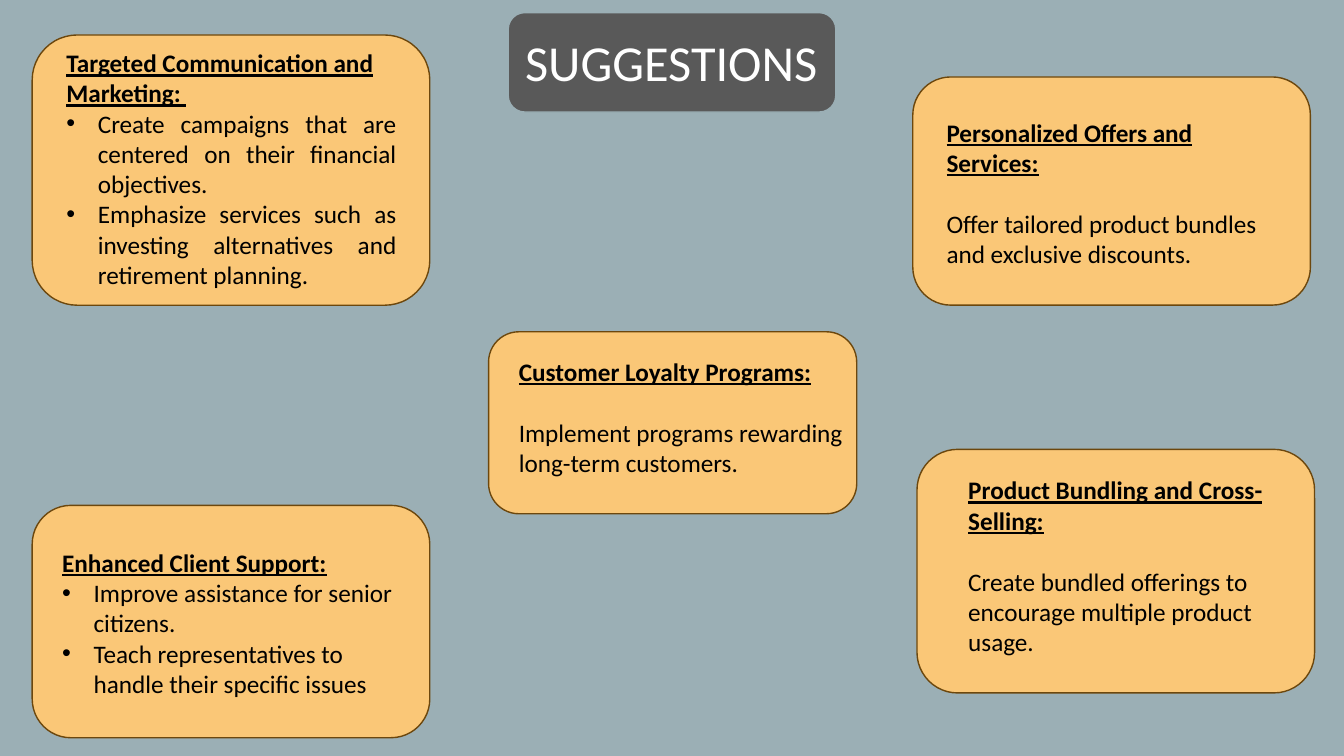
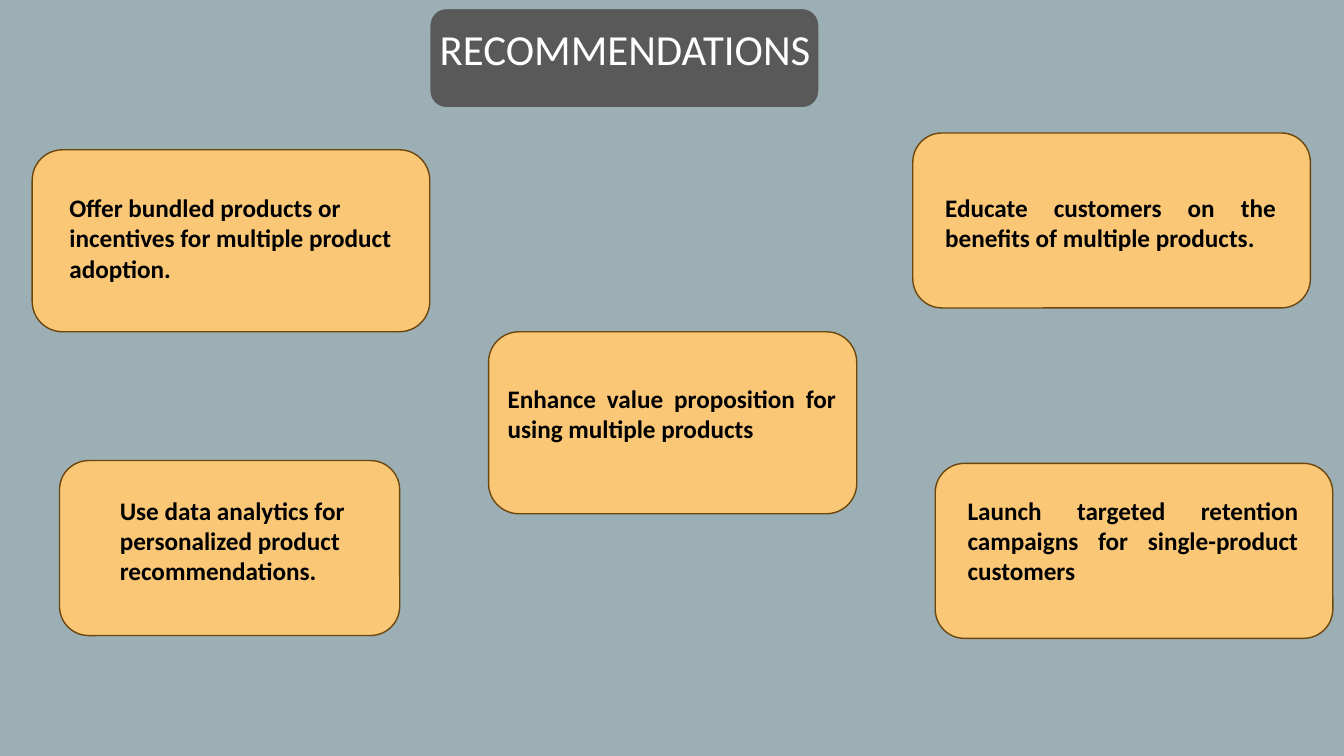
from dataclasses import dataclass

from lxml.etree import SubElement
from pptx import Presentation
from pptx.dml.color import RGBColor
from pptx.enum.shapes import MSO_SHAPE
from pptx.enum.text import PP_ALIGN
from pptx.oxml.ns import qn
from pptx.slide import Slide
from pptx.text.text import TextFrame
from pptx.util import Pt

HUES = {
    "back": "9BAFB5",
    "panel": "595959",
    "card": "FAC777",
    "edge": "6C470D",
    "ink": "000000",
    "light": "FFFFFF",
}
FONT = "Calibri"
SIZE = 18
BLANK = 6
DENT = 22.5
GAP = 22

Box = tuple[float, float, float, float]


@dataclass(frozen=True)
class Line:
    text: str
    bold: bool = False
    under: bool = False
    bullet: bool = False
    even: bool = False
    after: float = 0


@dataclass(frozen=True)
class Card:
    box: Box
    area: Box
    lines: tuple[Line, ...]


@dataclass(frozen=True)
class Title:
    text: str
    box: Box
    area: Box
    size: float
    lead: float = 1.0


@dataclass(frozen=True)
class Page:
    title: Title
    cards: tuple[Card, ...]


def head(text: str, after: float = 0) -> Line:
    return Line(text, bold=True, under=True, after=after)


def topic(text: str, body: str) -> tuple[Line, ...]:
    return head(text, GAP), Line(body)


def points(text: str, *items: str, even: bool = False) -> tuple[Line, ...]:
    return head(text), *(Line(item, bullet=True, even=even) for item in items)


def claim(text: str, even: bool = False) -> tuple[Line, ...]:
    return (Line(text, bold=True, even=even),)


PAGES = (
    Page(
        Title("SUGGESTIONS", (363, 9, 234, 71), (368, 19, 226, 55), 36),
        (
            Card((23, 25, 284, 193), (40.3, 30.3, 250, 181), points(
                "Targeted Communication and Marketing: ",
                "Create campaigns that are centered on their financial objectives.",
                "Emphasize services such as investing alternatives and retirement planning.",
                even=True)),
            Card((23, 361, 284, 166), (37.3, 387.4, 255, 117), points(
                "Enhanced Client Support:",
                "Improve assistance for senior citizens.",
                "Teach representatives to handle their specific issues")),
            Card((652, 55, 284, 163), (669, 80, 250.5, 138), topic(
                "Personalized Offers and Services:",
                "Offer tailored product bundles and exclusive discounts.")),
            Card((655, 321, 284, 174), (684.5, 335.6, 250.5, 160), topic(
                "Product Bundling and Cross-Selling:",
                "Create bundled offerings to encourage multiple product usage.")),
            Card((349, 237, 263, 130), (363.5, 251, 249, 117), topic(
                "Customer Loyalty Programs:",
                "Implement programs rewarding long-term customers.")),
        ),
    ),
    Page(
        Title("RECOMMENDATIONS", (307, 6, 278, 71), (307, 17, 292, 71), 30.6, 0.9),
        (
            Card((23, 107, 284, 130), (42.5, 134, 250, 73), claim(
                "Offer bundled products or incentives for multiple product adoption.")),
            Card((42.5, 329, 243, 125), (78.5, 350, 204.5, 73), claim(
                "Use data analytics for personalized product recommendations.")),
            Card((652, 95, 284, 125), (668, 134, 250.5, 73), claim(
                "Educate customers on the benefits of multiple products.", even=True)),
            Card((668, 331, 284, 125), (684, 350, 250.5, 73), claim(
                "Launch targeted retention campaigns for single-product customers",
                even=True)),
            Card((349, 237, 263, 130), (355.5, 270, 249, 51), claim(
                "Enhance value proposition for using multiple products", even=True)),
        ),
    ),
)


def tint(name: str) -> RGBColor:
    return RGBColor.from_string(HUES[name])


def panel(slide: Slide, box: Box, fill: str, edge: str) -> None:
    shape = slide.shapes.add_shape(MSO_SHAPE.ROUNDED_RECTANGLE, *map(Pt, box))
    shape.shadow.inherit = False
    shape.fill.solid()
    shape.fill.fore_color.rgb = tint(fill)
    shape.line.color.rgb = tint(edge)
    shape.line.width = Pt(1)


def frame(slide: Slide, area: Box) -> TextFrame:
    text = slide.shapes.add_textbox(*map(Pt, area)).text_frame
    text.word_wrap = True
    return text


def write(
    text: TextFrame,
    words: str,
    *,
    size: float = SIZE,
    hue: str = "ink",
    bold: bool = False,
    under: bool = False,
    bullet: bool = False,
    even: bool = False,
    after: float = 0,
    lead: float = 1.0,
) -> None:
    para = text.paragraphs[0]
    if para.runs:
        para = text.add_paragraph()
    para.alignment = PP_ALIGN.JUSTIFY if even else PP_ALIGN.LEFT
    para.line_spacing = lead
    para.space_after = Pt(after)
    run = para.add_run()
    run.text = words
    font = run.font
    font.name = FONT
    font.size = Pt(size)
    font.bold = bold
    font.underline = under
    font.color.rgb = tint(hue)
    if bullet:
        props = para._p.get_or_add_pPr()
        props.set("marL", str(Pt(DENT)))
        props.set("indent", str(-Pt(DENT)))
        SubElement(props, qn("a:buFont")).set("typeface", "Arial")
        SubElement(props, qn("a:buChar")).set("char", "•")


def draw(slide: Slide, page: Page) -> None:
    title = page.title
    panel(slide, title.box, "panel", "back")
    write(frame(slide, title.area), title.text,
          size=title.size, hue="light", lead=title.lead)
    for card in page.cards:
        panel(slide, card.box, "card", "edge")
        text = frame(slide, card.area)
        for line in card.lines:
            write(text, line.text, bold=line.bold, under=line.under,
                  bullet=line.bullet, even=line.even, after=line.after)


def main() -> None:
    deck = Presentation()
    deck.slide_width, deck.slide_height = Pt(960), Pt(540)
    back = deck.slide_master.background.fill
    back.solid()
    back.fore_color.rgb = tint("back")
    for page in PAGES:
        draw(deck.slides.add_slide(deck.slide_layouts[BLANK]), page)
    deck.save("out.pptx")


if __name__ == "__main__":
    main()
